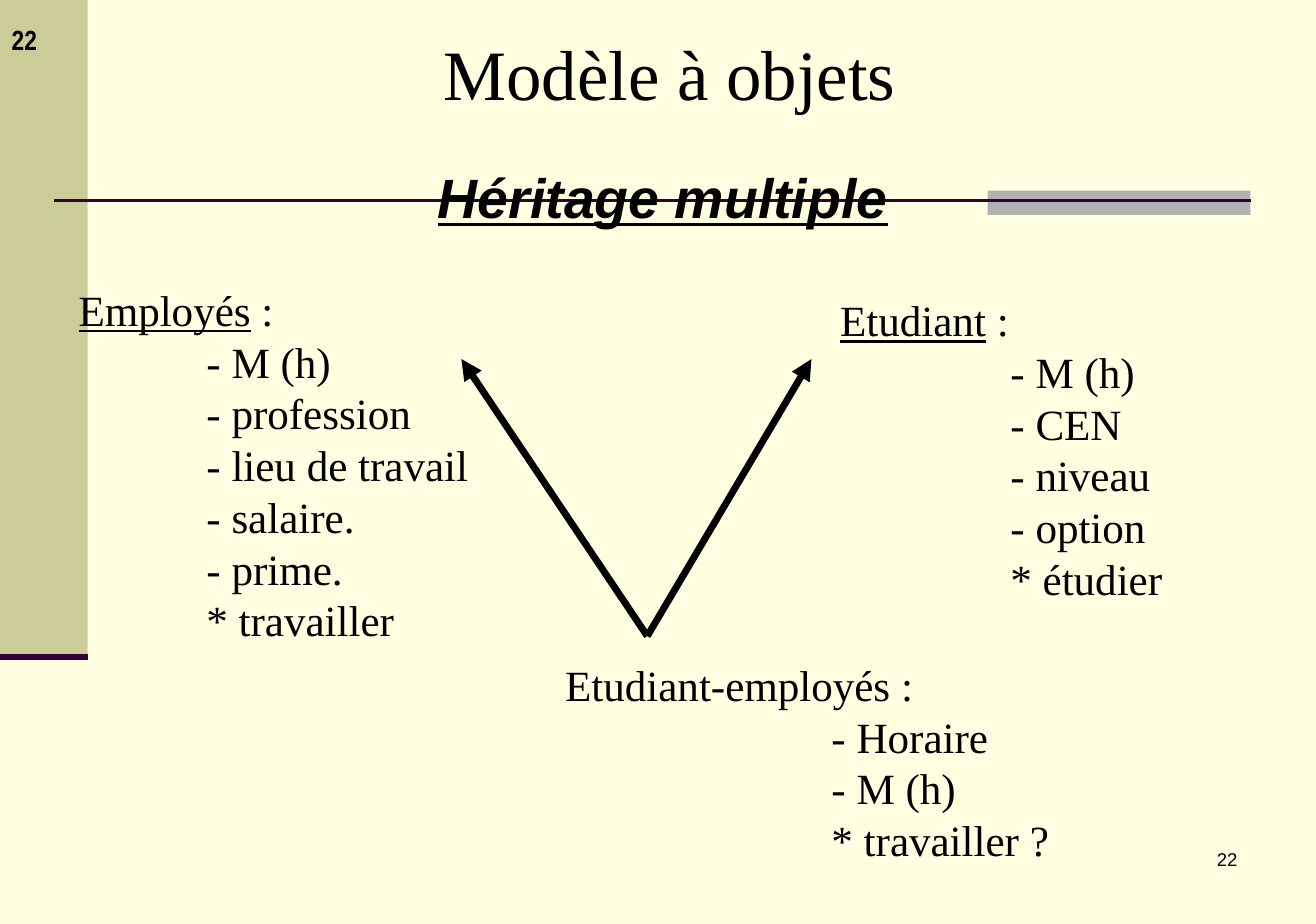
from dataclasses import dataclass
from typing import Any

from lxml import etree
from pptx import Presentation
from pptx.dml.color import RGBColor
from pptx.enum import shapes, text
from pptx.oxml import ns
from pptx.util import Cm, Pt


@dataclass(frozen=True)
class Theme:
    paper: str = "FFFFE1"
    band: str = "CCCC99"
    accent: str = "B2B2B2"
    rule: str = "330033"
    ink: str = "000000"
    serif: str = "Times New Roman"
    sans: str = "Arial"
    narrow: str = "Arial Narrow"
    title: int = 46
    subtitle: int = 36
    body: int = 28
    page: int = 18
    footer: int = 12
    leading: float = 1.2


@dataclass(frozen=True)
class Box:
    left: float
    top: float
    width: float
    height: float

    def lengths(self) -> tuple[Cm, ...]:
        return tuple(Cm(v) for v in (self.left, self.top, self.width, self.height))


@dataclass(frozen=True)
class Label:
    text: str
    box: Box
    font: dict[str, Any]
    align: text.PP_ALIGN = text.PP_ALIGN.LEFT


@dataclass(frozen=True)
class ClassBlock:
    name: str
    suffix: str
    underlined: bool
    members: tuple[str, ...]
    indent: float
    box: Box


@dataclass(frozen=True)
class Line:
    start: tuple[float, float]
    end: tuple[float, float]
    color: str
    weight: float
    arrow: bool = False


THEME = Theme()
APEX = (14.83, 14.58)

BANDS = (
    (Box(0, 0, 2.01, 15.04), THEME.band),
    (Box(22.63, 4.37, 6.02, 0.56), THEME.accent),
)
LINES = (
    Line((1.24, 4.6), (28.65, 4.6), THEME.rule, 1.5),
    Line((0, 15.06), (2.01, 15.06), THEME.rule, 3.5),
    Line(APEX, (10.57, 8.23), THEME.ink, 4.5, arrow=True),
    Line(APEX, (18.59, 8.23), THEME.ink, 4.5, arrow=True),
)
LABELS = (
    Label("22", Box(-0.03, 0.38, 3.1, 1.07),
          {"name": THEME.narrow, "size": Pt(THEME.page), "bold": True}),
    Label("22", Box(22.38, 19.28, 6.27, 1.42),
          {"name": THEME.sans, "size": Pt(THEME.footer)}, text.PP_ALIGN.RIGHT),
    Label("Héritage multiple", Box(1.24, 3.58, 27.89, 1.9),
          {"name": THEME.sans, "size": Pt(THEME.subtitle), "bold": True,
           "italic": True, "underline": True}, text.PP_ALIGN.CENTER),
    Label("Modèle à objets", Box(4.78, 0.53, 21.11, 2.24),
          {"name": THEME.serif, "size": Pt(THEME.title)}, text.PP_ALIGN.CENTER),
)
CLASSES = (
    ClassBlock("Etudiant", " :", True,
               ("- M (h)", "- CEN", "- niveau", "- option", "* étudier"),
               3.9, Box(18.95, 6.58, 9, 7.42)),
    ClassBlock("Employés", " :", True,
               ("- M (h)", "- profession", "- lieu de travail", "- salaire.",
                "- prime.", "* travailler"),
               2.93, Box(1.5, 6.35, 11.43, 8.6)),
    ClassBlock("Etudiant-employés", " :", False,
               ("- Horaire", "- M (h)", "* travailler ?"),
               6.1, Box(12.65, 14.94, 12.5, 5.03)),
)


def apply(target: Any, values: dict[str, Any]) -> None:
    for key, value in values.items():
        setattr(target, key, value)


def add_band(slide: Any, box: Box, color: str) -> None:
    sp = slide.shapes.add_shape(shapes.MSO_SHAPE.RECTANGLE, *box.lengths())
    sp.shadow.inherit = False
    sp.fill.solid()
    sp.fill.fore_color.rgb = RGBColor.from_string(color)
    sp.line.fill.background()


def add_line(slide: Any, line: Line) -> None:
    ends = [Cm(v) for v in line.start + line.end]
    sp = slide.shapes.add_connector(shapes.MSO_CONNECTOR.STRAIGHT, *ends)
    sp.line.width = Pt(line.weight)
    sp.line.color.rgb = RGBColor.from_string(line.color)
    if line.arrow:
        ln = sp.line._get_or_add_ln()
        etree.SubElement(ln, ns.qn("a:tailEnd"), type="triangle")
    etree.SubElement(sp._element.spPr, ns.qn("a:effectLst"))


def add_frame(slide: Any, box: Box) -> Any:
    tf = slide.shapes.add_textbox(*box.lengths()).text_frame
    apply(tf, {"word_wrap": True, "margin_left": Cm(0.3), "margin_right": Cm(0.3),
               "margin_top": Cm(0.15), "margin_bottom": Cm(0.15)})
    return tf


def add_run(p: Any, content: str, font: dict[str, Any]) -> None:
    r = p.add_run()
    r.text = content
    apply(r.font, font)
    r.font.color.rgb = RGBColor.from_string(THEME.ink)
    p.line_spacing = Pt(font["size"].pt * THEME.leading)


def add_label(slide: Any, label: Label) -> None:
    p = add_frame(slide, label.box).paragraphs[0]
    p.alignment = label.align
    add_run(p, label.text, label.font)


def add_class(slide: Any, block: ClassBlock) -> None:
    font = {"name": THEME.serif, "size": Pt(THEME.body)}
    tf = add_frame(slide, block.box)
    p = tf.paragraphs[0]
    add_run(p, block.name, font | {"underline": block.underlined})
    add_run(p, block.suffix, font)
    for member in block.members:
        p = tf.add_paragraph()
        p._p.get_or_add_pPr().set("marL", str(Cm(block.indent)))
        add_run(p, member, font)


def main() -> None:
    prs = Presentation()
    apply(prs, {"slide_width": Cm(30.15), "slide_height": Cm(21.18)})
    slide = prs.slides.add_slide(prs.slide_layouts[6])
    slide.background.fill.solid()
    slide.background.fill.fore_color.rgb = RGBColor.from_string(THEME.paper)
    for box, color in BANDS:
        add_band(slide, box, color)
    for line in LINES:
        add_line(slide, line)
    for label in LABELS:
        add_label(slide, label)
    for block in CLASSES:
        add_class(slide, block)
    prs.save("out.pptx")


if __name__ == "__main__":
    main()
